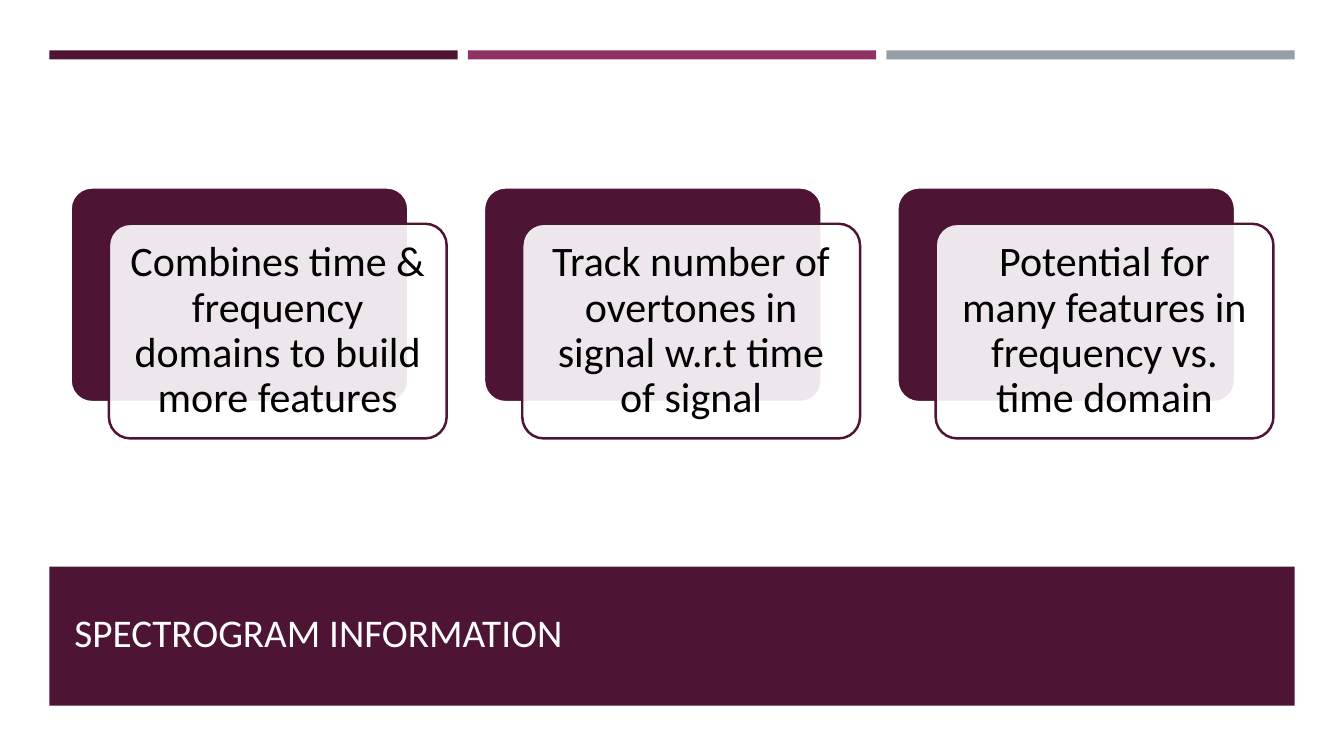
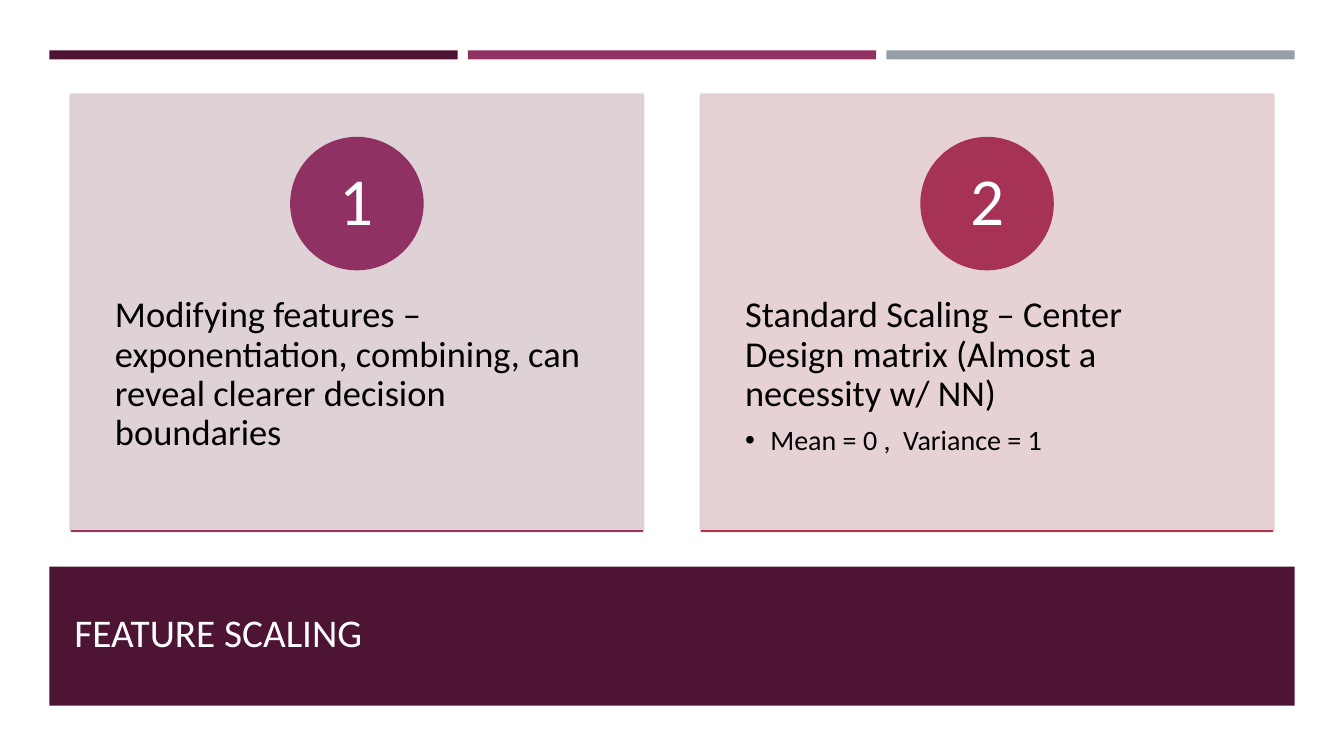
"""Build two slides on spectrogram information and feature scaling."""
import dataclasses
import typing

import lxml.etree
import pptx
import pptx.dml.color
import pptx.enum.shapes
import pptx.enum.text
import pptx.oxml.ns
import pptx.util

Inches = pptx.util.Inches
Pt = pptx.util.Pt
qn = pptx.oxml.ns.qn
SHAPES = pptx.enum.shapes.MSO_SHAPE
ALIGN = pptx.enum.text.PP_ALIGN
ANCHOR = pptx.enum.text.MSO_ANCHOR

FONT = "Calibri"
PLUM, BERRY, GREY = "4D1434", "903163", "969FA7"
WHITE, BLACK, TITLE_WHITE = "FFFFFF", "000000", "FFFEFF"
BAND_LEFT, BAND_WIDTH = 0.49, 12.35
BAR_WIDTH, BAR_PITCH = 4.05, 4.15
CONTENT_LEFT = 0.7
CARD_PITCH, CARD_SIZE = 4.1, (3.35, 2.13)
PANEL_PITCH, PANEL_WIDTH = 6.25, 5.68
PANEL_TOP, PANEL_HEIGHT = 0.94, 4.33
BADGE_TOP, BADGE_SIZE = 1.37, 1.3


class Box(typing.NamedTuple):
    left: float
    top: float
    width: float
    height: float

    def inset(self, margin: float) -> "Box":
        return Box(self.left + margin, self.top + margin,
                   self.width - 2 * margin, self.height - 2 * margin)

    def lengths(self) -> list[int]:
        return [Inches(value) for value in self]


@dataclasses.dataclass(frozen=True)
class Line:
    text: str
    size: float
    color: str = BLACK
    align: typing.Any = ALIGN.LEFT
    spacing: float = 0.9
    after: float = 0
    bullet: bool = False


@dataclasses.dataclass(frozen=True)
class Panel:
    tint: str
    badge: str
    rule: str
    lines: tuple[Line, ...]


CARDS = (
    "Combines time & frequency domains to build more features",
    "Track number of overtones in signal w.r.t time of signal",
    "Potential for many features in frequency vs. time domain",
)
PANELS = (
    Panel("DBCED3", BERRY, "9B325D", (
        Line("Modifying features – exponentiation, combining, can reveal "
             "clearer decision boundaries", 26),
    )),
    Panel("E4CED0", "A63256", "B2324B", (
        Line("Standard Scaling – Center Design matrix (Almost a necessity w/ NN)",
             26, after=9),
        Line("Mean = 0 ,  Variance = 1", 20, bullet=True),
    )),
)


def rgb(color: str) -> pptx.dml.color.RGBColor:
    return pptx.dml.color.RGBColor.from_string(color)


def apply(target: typing.Any, values: dict[str, typing.Any]) -> None:
    for name, value in values.items():
        setattr(target, name, value)


def set_opacity(parent: typing.Any, percent: int) -> None:
    swatch = parent.find(qn("a:solidFill")).find(qn("a:srgbClr"))
    lxml.etree.SubElement(swatch, qn("a:alpha")).set("val", str(percent * 1000))


def add_block(slide: typing.Any, kind: typing.Any, box: Box, fill: str,
              outline: str | None = None, fill_opacity: int = 100,
              line_opacity: int = 100) -> typing.Any:
    block = slide.shapes.add_shape(kind, *box.lengths())
    block.shadow.inherit = False
    block.fill.solid()
    block.fill.fore_color.rgb = rgb(fill)
    properties = block._element.spPr
    if fill_opacity < 100:
        set_opacity(properties, fill_opacity)
    if outline is None:
        block.line.fill.background()
        return block
    block.line.color.rgb = rgb(outline)
    block.line.width = Pt(1.75)
    if line_opacity < 100:
        set_opacity(properties.find(qn("a:ln")), line_opacity)
    return block


def add_bullet(paragraph: typing.Any) -> None:
    properties = paragraph._p.get_or_add_pPr()
    apply_indent = {"marL": Inches(0.25), "indent": -Inches(0.25)}
    for name, value in apply_indent.items():
        properties.set(name, str(value))
    lxml.etree.SubElement(properties, qn("a:buFont")).set("typeface", "Arial")
    lxml.etree.SubElement(properties, qn("a:buChar")).set("char", "•")


def add_text(slide: typing.Any, box: Box, lines: typing.Sequence[Line],
             anchor: typing.Any = ANCHOR.TOP, side: float = 0.1,
             edge: float = 0.05) -> None:
    frame = slide.shapes.add_textbox(*box.lengths()).text_frame
    apply(frame, {
        "word_wrap": True, "vertical_anchor": anchor,
        "margin_left": Inches(side), "margin_right": Inches(side),
        "margin_top": Inches(edge), "margin_bottom": Inches(edge),
    })
    for index, line in enumerate(lines):
        paragraph = frame.add_paragraph() if index else frame.paragraphs[0]
        apply(paragraph, {
            "alignment": line.align, "line_spacing": line.spacing,
            "space_after": Pt(line.after),
        })
        if line.bullet:
            add_bullet(paragraph)
        run = paragraph.add_run()
        run.text = line.text
        apply(run.font, {"name": FONT, "size": Pt(line.size)})
        run.font.color.rgb = rgb(line.color)


def add_rule(slide: typing.Any, left: float, top: float, width: float,
             color: str) -> None:
    rule = slide.shapes.add_connector(
        pptx.enum.shapes.MSO_CONNECTOR.STRAIGHT,
        Inches(left), Inches(top), Inches(left + width), Inches(top))
    rule.line.color.rgb = rgb(color)
    rule.line.width = Pt(1.75)
    lxml.etree.SubElement(rule._element.spPr, qn("a:effectLst"))


def add_framed_slide(deck: typing.Any, title: str) -> typing.Any:
    slide = deck.slides.add_slide(deck.slide_layouts[6])
    for index, color in enumerate((PLUM, BERRY, GREY)):
        bar = Box(BAND_LEFT + index * BAR_PITCH, 0.5, BAR_WIDTH, 0.09)
        add_block(slide, SHAPES.RECTANGLE, bar, color)
    add_block(slide, SHAPES.RECTANGLE, Box(BAND_LEFT, 5.62, BAND_WIDTH, 1.38), PLUM)
    add_text(slide, Box(0.64, 5.76, 12.06, 0.79),
             [Line(title, 28, TITLE_WHITE, spacing=1.0)], ANCHOR.BOTTOM)
    return slide


def add_card(slide: typing.Any, left: float, text: str) -> None:
    back = Box(left, 1.86, *CARD_SIZE)
    front = Box(left + 0.38, 2.22, *CARD_SIZE)
    for box, fill, outline, opacity in ((back, PLUM, WHITE, 100),
                                        (front, WHITE, PLUM, 90)):
        card = add_block(slide, SHAPES.ROUNDED_RECTANGLE, box, fill, outline, opacity)
        card.adjustments[0] = 0.1
    add_text(slide, front.inset(0.06), [Line(text, 30, align=ALIGN.CENTER)],
             ANCHOR.MIDDLE, 0.12, 0.12)


def add_panel(slide: typing.Any, left: float, number: int, panel: Panel) -> None:
    add_block(slide, SHAPES.RECTANGLE,
              Box(left, PANEL_TOP, PANEL_WIDTH, PANEL_HEIGHT),
              panel.tint, panel.tint, 90, 90)
    add_text(slide, Box(left, 2.58, PANEL_WIDTH, 2.6), panel.lines,
             side=0.44, edge=0.36)
    badge = Box(left + (PANEL_WIDTH - BADGE_SIZE) / 2, BADGE_TOP,
                BADGE_SIZE, BADGE_SIZE)
    add_block(slide, SHAPES.OVAL, badge, panel.badge, panel.badge)
    add_text(slide, badge.inset(0.19),
             [Line(str(number), 48, WHITE, ALIGN.CENTER)],
             ANCHOR.MIDDLE, 0.1, 0.01)
    add_rule(slide, left, PANEL_TOP + PANEL_HEIGHT, PANEL_WIDTH, panel.rule)


def main() -> None:
    deck = pptx.Presentation()
    apply(deck, {"slide_width": Inches(13.33), "slide_height": Inches(7.5)})

    spectrogram = add_framed_slide(deck, "SPECTROGRAM INFORMATION")
    for index, text in enumerate(CARDS):
        add_card(spectrogram, CONTENT_LEFT + index * CARD_PITCH, text)

    scaling = add_framed_slide(deck, "FEATURE SCALING")
    for index, panel in enumerate(PANELS):
        add_panel(scaling, CONTENT_LEFT + index * PANEL_PITCH, index + 1, panel)

    deck.save("out.pptx")


if __name__ == "__main__":
    main()
